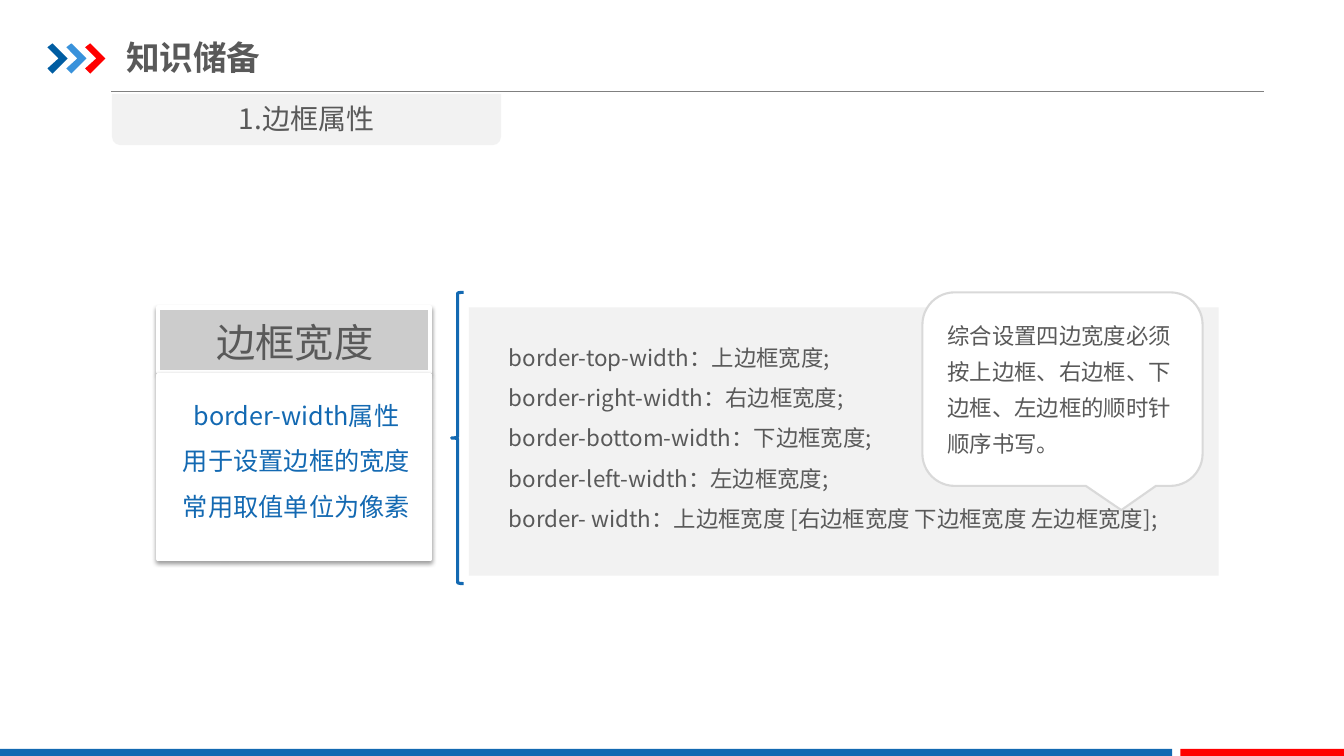
from dataclasses import dataclass

from lxml import etree
from pptx import Presentation
from pptx.dml.color import RGBColor
from pptx.enum.shapes import MSO_CONNECTOR, MSO_SHAPE
from pptx.enum.text import MSO_ANCHOR, MSO_AUTO_SIZE, PP_ALIGN
from pptx.oxml import parse_xml
from pptx.oxml.ns import nsdecls, qn
from pptx.util import Inches, Pt

RECT = MSO_SHAPE.RECTANGLE
TAB = MSO_SHAPE.ROUND_2_SAME_RECTANGLE
BRACE = MSO_SHAPE.LEFT_BRACE
CALLOUT = MSO_SHAPE.ROUNDED_RECTANGULAR_CALLOUT
STRAIGHT = MSO_CONNECTOR.STRAIGHT
LEFT, CENTER = PP_ALIGN.LEFT, PP_ALIGN.CENTER
MIDDLE = MSO_ANCHOR.MIDDLE
GROW, FIXED = MSO_AUTO_SIZE.SHAPE_TO_FIT_TEXT, MSO_AUTO_SIZE.NONE

CHEVRON = [(0, 13), (25, 0), (100, 50), (25, 100), (0, 83), (55, 50)]


@dataclass(frozen=True)
class Theme:
    """Fonts, type sizes and colours of the slide."""
    font: str = "Noto Sans CJK SC"
    title: int = 24
    tab: int = 20
    heading: int = 28
    card: int = 18
    body: int = 16
    ink: str = "595959"
    blue: str = "1369B2"
    navy: str = "005DA2"
    sky: str = "3992DB"
    red: str = "FF0000"
    white: str = "FFFFFF"
    pale: str = "F2F2F2"
    silver: str = "CCCCCC"
    outline: str = "D9D9D9"
    rule: str = "808080"


THEME = Theme()


@dataclass(frozen=True)
class Box:
    """A rectangle whose inner boxes are given in percent of its size."""
    left: int
    top: int
    width: int
    height: int

    def at(self, x, y):
        """Return the point at the given percentages."""
        return (round(self.left + self.width * x / 100),
                round(self.top + self.height * y / 100))

    def inner(self, x, y, width, height):
        """Return the inner box at the given percentages."""
        return Box(*self.at(x, y), round(self.width * width / 100),
                   round(self.height * height / 100))

    @property
    def bounds(self):
        """Return left, top, width and height."""
        return self.left, self.top, self.width, self.height


def paint(shape, fill=None, line=None, weight=1):
    """Set fill and line of a shape and drop its shadow."""
    shape.shadow.inherit = False
    if fill:
        shape.fill.solid()
        shape.fill.fore_color.rgb = RGBColor.from_string(fill)
    else:
        shape.fill.background()
    if line:
        shape.line.color.rgb = RGBColor.from_string(line)
        shape.line.width = Pt(weight)
    else:
        shape.line.fill.background()
    return shape


def add_block(slide, kind, box, fill=None, line=None, weight=1):
    """Add a painted preset shape."""
    return paint(slide.shapes.add_shape(kind, *box.bounds), fill, line, weight)


def cast_shadow(shape):
    """Give a shape a soft shadow below it."""
    effects = shape._element.spPr.find(qn("a:effectLst"))
    effects.append(parse_xml(
        f'<a:outerShdw {nsdecls("a")} blurRad="{Pt(3.1)}" dist="{Pt(1.6)}" '
        'dir="5400000" algn="t" rotWithShape="0"><a:srgbClr val="000000">'
        '<a:alpha val="38000"/></a:srgbClr></a:outerShdw>'))


def write(frame, lines, size, color, align=LEFT, spacing=1.0, bold=False):
    """Fill a text frame with equally formatted paragraphs."""
    frame.word_wrap = True
    frame.text = "\n".join(lines)
    for paragraph in frame.paragraphs:
        paragraph.alignment = align
        paragraph.line_spacing = spacing
        font = paragraph.font
        font.size, font.bold, font.name = Pt(size), bold, THEME.font
        font.color.rgb = RGBColor.from_string(color)
        defaults = paragraph._p.pPr.find(qn("a:defRPr"))
        etree.SubElement(defaults, qn("a:ea")).set("typeface", THEME.font)


def add_text(slide, box, lines, size, color, align=LEFT, spacing=1.0):
    """Add a text box that grows with its text."""
    frame = slide.shapes.add_textbox(*box.bounds).text_frame
    write(frame, lines, size, color, align, spacing)
    frame.auto_size = GROW


def add_header(slide, box, heading):
    """Place the rule, three chevrons and the title."""
    rule = slide.shapes.add_connector(STRAIGHT, *box.at(5.22, 100), *box.at(100, 100))
    rule.line.color.rgb = RGBColor.from_string(THEME.rule)
    rule.line.width = Pt(0.75)
    etree.SubElement(rule._element.spPr, qn("a:effectLst"))
    for column, color in enumerate((THEME.navy, THEME.sky, THEME.red)):
        cell = box.inner(1.55 * column, 22.58, 1.66, 48.39)
        start, *corners = [cell.at(*corner) for corner in CHEVRON]
        outline = slide.shapes.build_freeform(*start)
        outline.add_line_segments(corners)
        paint(outline.convert_to_shape(), color)
    title = slide.shapes.title
    title.left, title.top, title.width, title.height = box.inner(6.46, 0, 35.29, 88.71).bounds
    frame = title.text_frame
    write(frame, [heading], THEME.title, THEME.ink, bold=True)
    frame.auto_size, frame.vertical_anchor = FIXED, MIDDLE
    frame.margin_left = frame.margin_right = 0
    frame.margin_top = frame.margin_bottom = Inches(0.07)


def add_footer(slide, box):
    """Place the blue and red bars."""
    add_block(slide, RECT, box.inner(0, 0, 87.22, 100), THEME.blue)
    add_block(slide, RECT, box.inner(87.82, 0, 12.18, 100), THEME.red)


def add_tab(slide, box, label):
    """Place the section tab hanging below the rule."""
    add_block(slide, TAB, box, THEME.pale).rotation = 180
    add_text(slide, box.inner(0, 5.88, 100, 86.27), [label], THEME.tab, THEME.ink, CENTER)


def add_card(slide, box, heading, lines):
    """Place the property card with its heading and description."""
    head, body = box.inner(0, 0, 100, 25.6), box.inner(0, 26.8, 100, 73.2)
    for area, fill in ((head, THEME.silver), (body, THEME.white)):
        cast_shadow(add_block(slide, RECT, area, fill, THEME.white, 3))
    add_text(slide, box.inner(0.4, 2.4, 99.6, 22.8), [heading],
             THEME.heading, THEME.ink, CENTER)
    add_text(slide, box.inner(0.4, 28.8, 100.7, 56.4), lines,
             THEME.card, THEME.blue, CENTER, 1.5)


def add_syntax(slide, box, lines):
    """Place the panel that lists the syntax."""
    add_block(slide, RECT, box, THEME.pale)
    add_text(slide, box.inner(4.03, 6.77, 91.4, 77.82), lines, THEME.body, THEME.ink, spacing=1.5)


def add_hint(slide, box, hint):
    """Place the speech bubble with its hint."""
    bubble = add_block(slide, CALLOUT, box, THEME.white, THEME.outline, 1.5)
    bubble.adjustments[0] = 0.21
    add_text(slide, box.inner(5.4, 7.81, 94.24, 79.17), [hint],
             THEME.body, THEME.ink, spacing=1.35)


def main():
    """Build the slide and save it."""
    deck = Presentation()
    deck.slide_width, deck.slide_height = Inches(13.33), Inches(7.5)
    slide = deck.slides.add_slide(deck.slide_layouts[5])
    page = Box(0, 0, deck.slide_width, deck.slide_height)
    add_header(slide, page.inner(3.53, 3.87, 90.53, 8.27), "知识储备")
    add_footer(slide, page.inner(0, 99.07, 100, 0.93))
    add_tab(slide, page.inner(8.33, 12.4, 28.95, 6.8), "1.边框属性")
    add_card(slide, page.inner(11.78, 40.67, 20.25, 33.33), "边框宽度",
             ["border-width属性", "用于设置边框的宽度", "常用取值单位为像素"])
    add_block(slide, BRACE, page.inner(33.6, 38.67, 0.9, 38.53), line=THEME.blue, weight=2.25)
    add_syntax(slide, page.inner(34.88, 40.67, 55.8, 35.47), [
        "border-top-width：上边框宽度;",
        "border-right-width：右边框宽度;",
        "border-bottom-width：下边框宽度;",
        "border-left-width：左边框宽度;",
        "border- width：上边框宽度 [右边框宽度 下边框宽度 左边框宽度];"])
    add_hint(slide, page.inner(68.63, 38.67, 20.85, 25.6),
             "综合设置四边宽度必须按上边框、右边框、下边框、左边框的顺时针顺序书写。")
    deck.save("out.pptx")


if __name__ == "__main__":
    main()
